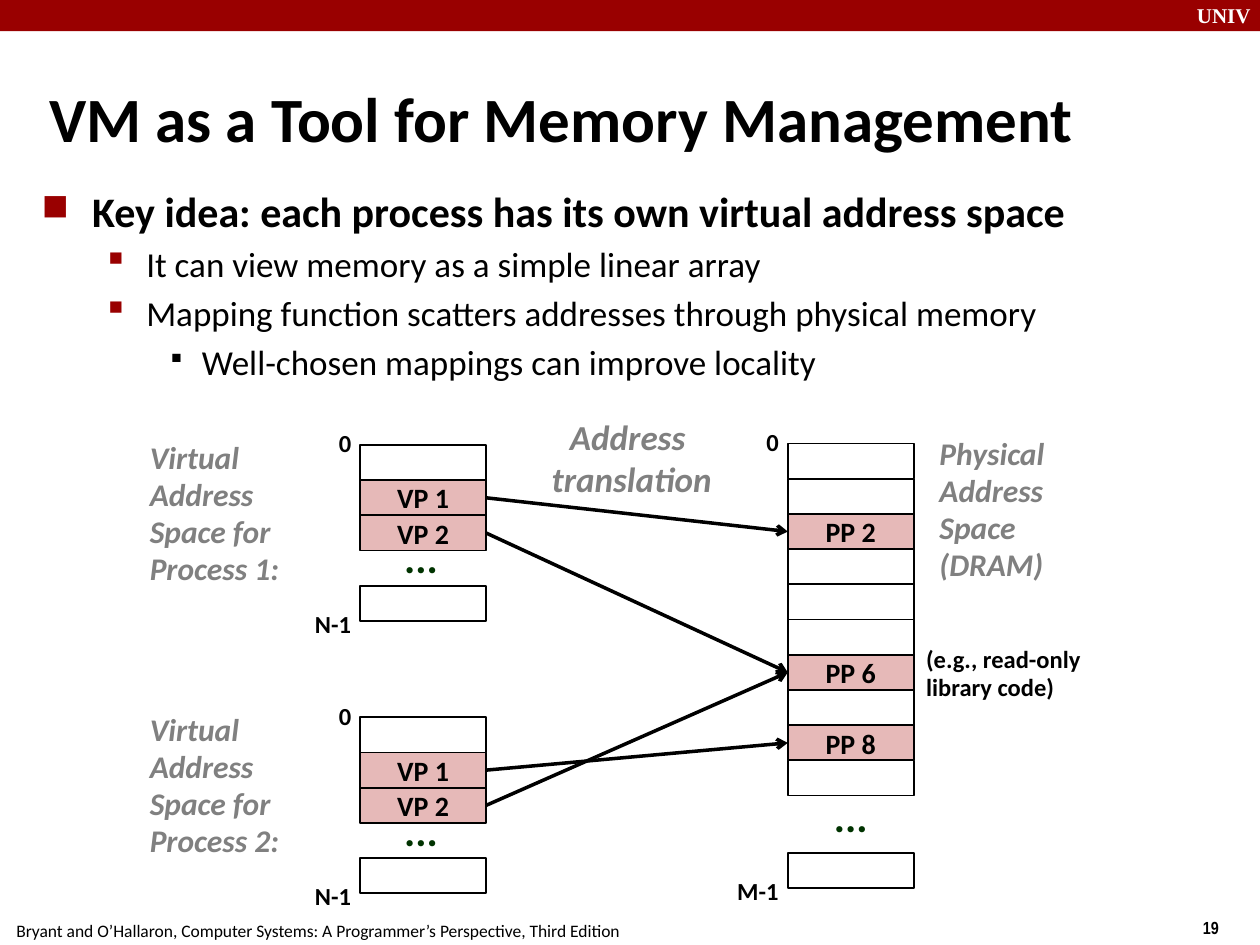
"""Build a slide on virtual memory as a tool for memory management."""
from lxml import etree
from pptx import Presentation
from pptx import util as u
from pptx.dml import color
from pptx.enum import shapes, text
from pptx.oxml import ns

COLORS = {"bar": "990000", "ink": "000000", "paper": "FFFFFF",
          "label": "808080", "page": "E6B9B8", "dots": "003300"}
CELL_WIDTH, CELL_HEIGHT = 2.54, 0.71
VIRTUAL_LEFT, PHYSICAL_LEFT, PHYSICAL_TOP = 7.26, 15.88, 8.94
PROCESS_TOPS = {1: 8.97, 2: 14.46}
MAPPINGS = [(1, 1, 2), (1, 2, 6), (2, 2, 6), (2, 1, 8)]
BULLETS = [
    ("Key idea: each process has its own virtual address space", 0),
    ("It can view memory as a simple linear array", 1),
    ("Mapping function scatters addresses through physical memory", 1),
    ("Well-chosen mappings can improve locality", 2),
]
BULLET_STYLES = [
    dict(size=24, bold=True, before=4.8, left=0.97, hang=0.94,
         face="Wingdings 2", char="¢", scale=60, color="bar"),
    dict(size=20, bold=False, before=4, left=2.06, hang=0.79,
         face="Wingdings", char="§", scale=110, color="bar"),
    dict(size=20, bold=False, before=4, left=3.18, hang=0.64,
         face="Wingdings", char="§", scale=80, color="ink"),
]


def rgb(name):
    return color.RGBColor.from_string(COLORS[name])


def set_font(para, size, ink="ink", bold=True, italic=False, face="Calibri"):
    font = para.font
    font.name, font.size, font.bold, font.italic = face, u.Pt(size), bold, italic
    font.color.rgb = rgb(ink)


def add_text(page, lines, left, top, width, height, size, wrap=False,
             align=text.PP_ALIGN.LEFT, spacing=None, before=None, **font):
    box = page.shapes.add_textbox(u.Cm(left), u.Cm(top), u.Cm(width), u.Cm(height))
    frame = box.text_frame
    frame.word_wrap = wrap
    frame.text = "\n".join(lines)
    for para in frame.paragraphs:
        para.alignment = align
        if spacing:
            para.line_spacing = spacing
        if before:
            para.space_before = u.Pt(before)
        set_font(para, size, **font)
    return box


def add_heading(page, words, left, top, width, height, size):
    box = add_text(page, [words], left, top, width, height, size, wrap=True)
    box.text_frame.vertical_anchor = text.MSO_ANCHOR.MIDDLE


def add_bullets(page, left, top, width, height):
    lines = [words for words, level in BULLETS]
    box = add_text(page, lines, left, top, width, height, 20, wrap=True)
    for para, (words, level) in zip(box.text_frame.paragraphs, BULLETS):
        style = BULLET_STYLES[level]
        para.level = level
        para.space_before = u.Pt(style["before"])
        set_font(para, style["size"], bold=style["bold"])
        props = para._p.get_or_add_pPr()
        props.set("marL", str(u.Cm(style["left"])))
        props.set("indent", str(-u.Cm(style["hang"])))
        tint = etree.Element(ns.qn("a:buClr"))
        etree.SubElement(tint, ns.qn("a:srgbClr"), val=COLORS[style["color"]])
        scale = etree.Element(ns.qn("a:buSzPct"), val=str(style["scale"] * 1000))
        face = etree.Element(ns.qn("a:buFont"), typeface=style["face"], charset="2")
        mark = etree.Element(ns.qn("a:buChar"), char=style["char"])
        spot = props.index(props.find(ns.qn("a:defRPr")))
        props[spot:spot] = [tint, scale, face, mark]


def add_box(page, left, top, width, height, fill=None, line=None):
    box = page.shapes.add_shape(shapes.MSO_SHAPE.RECTANGLE, u.Cm(left),
                                u.Cm(top), u.Cm(width), u.Cm(height))
    box.shadow.inherit = False
    if fill:
        box.fill.solid()
        box.fill.fore_color.rgb = rgb(fill)
    else:
        box.fill.background()
    if line:
        box.line.color.rgb = rgb(line)
        box.line.width = u.Pt(1)
    else:
        box.line.fill.background()
    return box


def add_cell(page, left, top, name=None):
    box = add_box(page, left, top, CELL_WIDTH, CELL_HEIGHT,
                  fill="page" if name else None, line="ink")
    if name:
        frame = box.text_frame
        frame.text = name
        frame.vertical_anchor = text.MSO_ANCHOR.MIDDLE
        para = frame.paragraphs[0]
        para.alignment = text.PP_ALIGN.CENTER
        set_font(para, 16)


def add_memory(page, left, top, names, last_top, last_label, label_width, dots):
    """Draw a column of cells with its first and last address."""
    for row, name in enumerate(names):
        add_cell(page, left, top + row * CELL_HEIGHT, name)
    add_cell(page, left, last_top)
    add_text(page, ["..."], *dots, 1.5, 1.27, 24, wrap=True,
             ink="dots", spacing=0.88, before=9)
    right = left + 0.08
    for label, width, label_top in [("0", 0.76, top - 0.43),
                                    (last_label, label_width, last_top + 0.37)]:
        add_text(page, [label], right - width, label_top, width, 0.84, 14,
                 spacing=0.98)


def add_note(page, lines, left, top, width):
    add_text(page, lines, left, top, width, 3.25, 18, wrap=True,
             ink="label", italic=True, spacing=0.98)


def add_arrow(page, process, virtual_row, physical_row):
    start = PROCESS_TOPS[process] + (virtual_row + 0.5) * CELL_HEIGHT
    end = PHYSICAL_TOP + (physical_row + 0.5) * CELL_HEIGHT
    arrow = page.shapes.add_connector(
        shapes.MSO_CONNECTOR.STRAIGHT, u.Cm(VIRTUAL_LEFT + CELL_WIDTH),
        u.Cm(start), u.Cm(PHYSICAL_LEFT), u.Cm(end))
    arrow.line.color.rgb = rgb("ink")
    arrow.line.width = u.Pt(2)
    etree.SubElement(arrow.line._get_or_add_ln(), ns.qn("a:tailEnd"), type="arrow")
    etree.SubElement(arrow._element.spPr, ns.qn("a:effectLst"))


def add_frame(page):
    add_box(page, 0, 0, 25.4, 0.63, fill="bar")
    add_text(page, ["UNIV"], 23.88, -0.08, 1.7, 0.76, 12, wrap=True,
             ink="paper", face="Times New Roman")
    add_text(page, ["19"], 24, 18.36, 1.9, 0.74, 10, face="Arial Narrow")
    add_text(page, ["Bryant and O’Hallaron, Computer Systems: "
                    "A Programmer’s Perspective, Third Edition"],
             0.08, 18.42, 12.67, 0.69, 10, bold=False)


def main():
    deck = Presentation()
    deck.slide_width, deck.slide_height = u.Cm(25.4), u.Cm(19.05)
    page = deck.slides.add_slide(deck.slide_layouts[6])
    add_frame(page)
    add_heading(page, "VM as a Tool for Memory Management",
                0.74, 1.57, 23.93, 1.6, 36)
    add_bullets(page, 0.64, 3.61, 21.79, 3.48)

    for process, top in PROCESS_TOPS.items():
        add_note(page, [f"Virtual Address Space for Process {process}:"],
                 2.77, top - 0.23, 3.81)
        add_memory(page, VIRTUAL_LEFT, top, [None, "VP 1", "VP 2"],
                   top + 4 * CELL_HEIGHT, "N-1", 1.24, (7.9, top + 1.76))

    mapped = {physical for process, virtual, physical in MAPPINGS}
    names = [f"PP {row}" if row in mapped else None for row in range(10)]
    add_memory(page, PHYSICAL_LEFT, PHYSICAL_TOP, names, 17.2, "M-1", 1.35,
               (16.56, 15.95))
    add_note(page, ["Physical", "Address", "Space (DRAM)"], 18.69, 8.66, 2.97)
    add_text(page, ["(e.g., read-only", "library code)"],
             18.42, 12.88, 4.01, 1.42, 14, wrap=True, spacing=0.98)

    for mapping in MAPPINGS:
        add_arrow(page, *mapping)
    add_text(page, ["Address ", "translation"], 10.87, 8.26, 3.73, 1.96, 20,
             align=text.PP_ALIGN.CENTER, ink="label", italic=True)
    deck.save("out.pptx")


if __name__ == "__main__":
    main()
